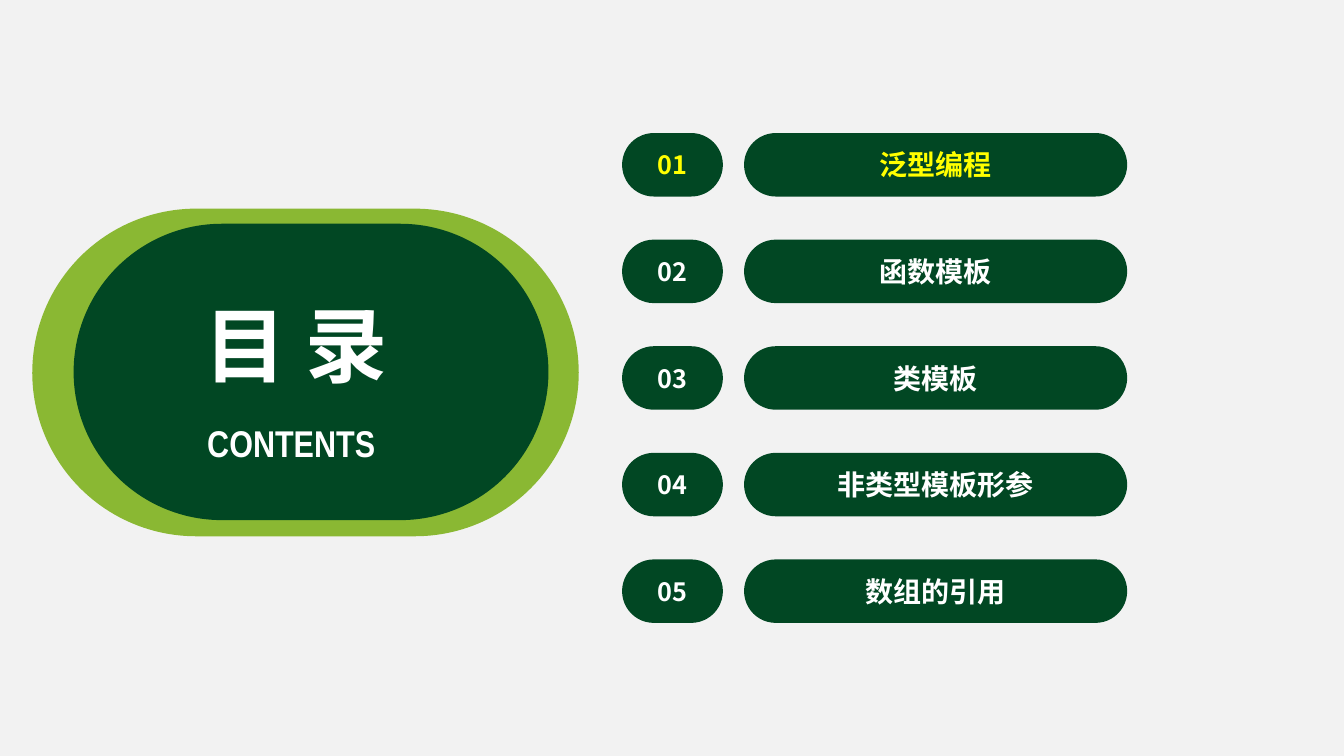
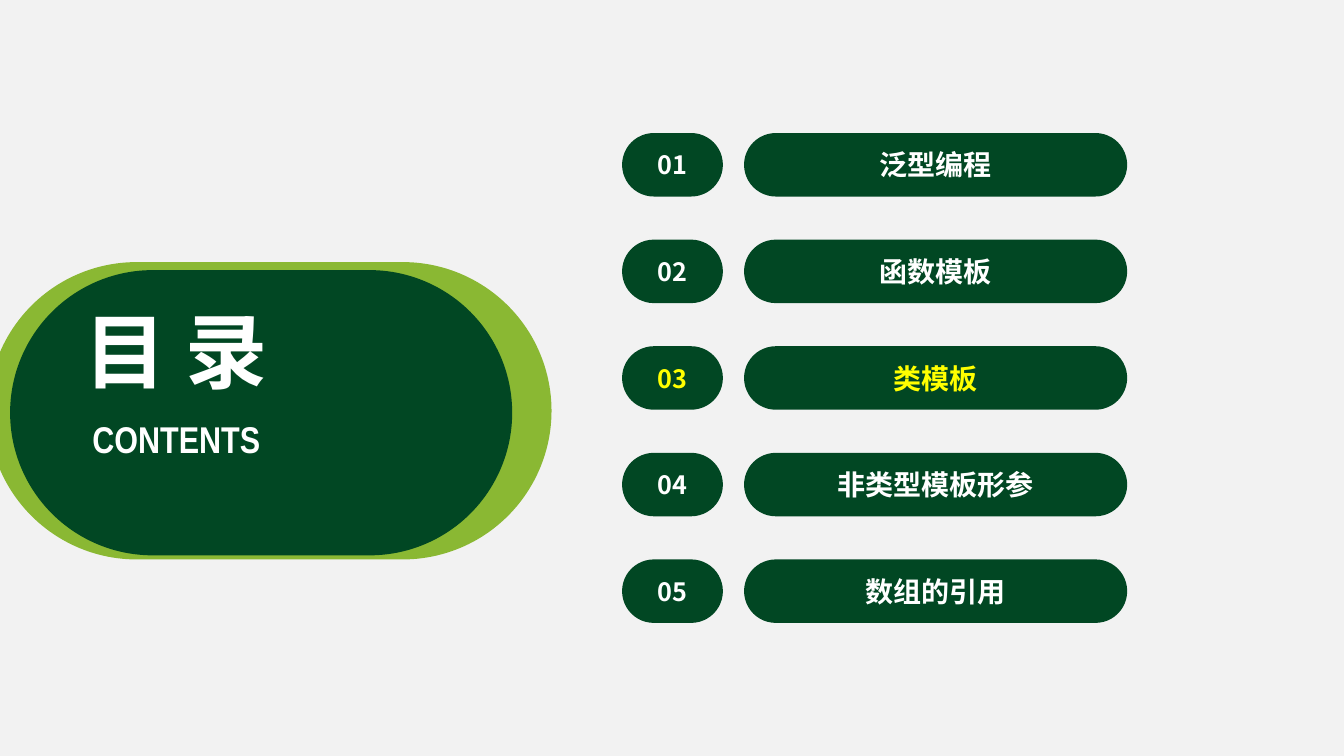
"""Build two agenda slides, each with its current topic highlighted."""
from dataclasses import dataclass

from lxml import etree
from pptx import Presentation
from pptx.dml.color import RGBColor
from pptx.enum import shapes, text
from pptx.oxml import ns
from pptx.util import Inches, Pt


@dataclass(frozen=True)
class Theme:
    """Colours, fonts and type sizes."""
    paper: str = "F2F2F2"
    lime: str = "8AB833"
    green: str = "014723"
    white: str = "FFFFFF"
    yellow: str = "FFFF00"
    sans: str = "Noto Sans CJK SC"
    narrow: str = "Arial Narrow"
    title: float = 58.6
    label: float = 26.6
    topic: float = 20
    number: float = 18


THEME = Theme()
TOPICS = ["泛型编程", "函数模板", "类模板", "非类型模板形参", "数组的引用"]
FIRST, LAST, HEIGHT = 1.32, 5.55, 0.63
PITCH = (LAST - FIRST) / (len(TOPICS) - 1)


def write(frame, words, size, color, face):
    """Set one centred bold line of text."""
    frame.text = words
    para = frame.paragraphs[0]
    para.alignment = text.PP_ALIGN.CENTER
    run = para.runs[0]
    font = run.font
    font.size, font.bold, font.name = Pt(size), True, face
    font.color.rgb = RGBColor.from_string(color)
    asian = etree.SubElement(font._element, ns.qn("a:ea"))
    asian.set("typeface", face)


def pill(slide, box, color):
    """Add a borderless shape with fully rounded ends."""
    shape = slide.shapes.add_shape(
        shapes.MSO_SHAPE.ROUNDED_RECTANGLE, *map(Inches, box))
    shape.adjustments[0] = 0.5
    shape.shadow.inherit = False
    shape.fill.solid()
    shape.fill.fore_color.rgb = RGBColor.from_string(color)
    shape.line.fill.background()
    return shape


def button(slide, box, words, size, color):
    """Add a green pill with text in its middle."""
    frame = pill(slide, box, THEME.green).text_frame
    frame.vertical_anchor = text.MSO_ANCHOR.MIDDLE
    write(frame, words, size, color, THEME.sans)


def caption(slide, box, words, size, face):
    """Add a white text box that fits its single line."""
    frame = slide.shapes.add_textbox(*map(Inches, box)).text_frame
    frame.word_wrap = False
    frame.auto_size = text.MSO_AUTO_SIZE.SHAPE_TO_FIT_TEXT
    write(frame, words, size, THEME.white, face)


def agenda(deck, active, outer, inner, title, label):
    """Add an agenda slide; title and label are top left corners."""
    slide = deck.slides.add_slide(deck.slide_layouts[6])
    pill(slide, outer, THEME.lime)
    pill(slide, inner, THEME.green)
    for row, topic in enumerate(TOPICS):
        top = FIRST + row * PITCH
        color = THEME.yellow if row + 1 == active else THEME.white
        button(slide, (6.17, top, 1, HEIGHT), f"{row + 1:02}",
               THEME.number, color)
        button(slide, (7.38, top, 3.8, HEIGHT), topic, THEME.topic, color)
    caption(slide, (*label, 2.26, 0.55), "CONTENTS", THEME.label, THEME.narrow)
    caption(slide, (*title, 2.09, 1.09), "目 录", THEME.title, THEME.sans)


def main():
    """Create and save the deck."""
    deck = Presentation()
    deck.slide_width, deck.slide_height = Inches(13.33), Inches(7.5)
    fill = deck.slide_master.background.fill
    fill.solid()
    fill.fore_color.rgb = RGBColor.from_string(THEME.paper)
    agenda(deck, 1, outer=(0.32, 2.07, 5.42, 3.25),
           inner=(0.73, 2.22, 4.71, 2.94),
           title=(1.89, 2.87), label=(1.76, 4.12))
    agenda(deck, 3, outer=(-0.12, 2.6, 5.59, 2.95),
           inner=(0.1, 2.68, 4.98, 2.83),
           title=(0.7, 2.93), label=(0.62, 4.08))
    deck.save("out.pptx")


if __name__ == "__main__":
    main()
